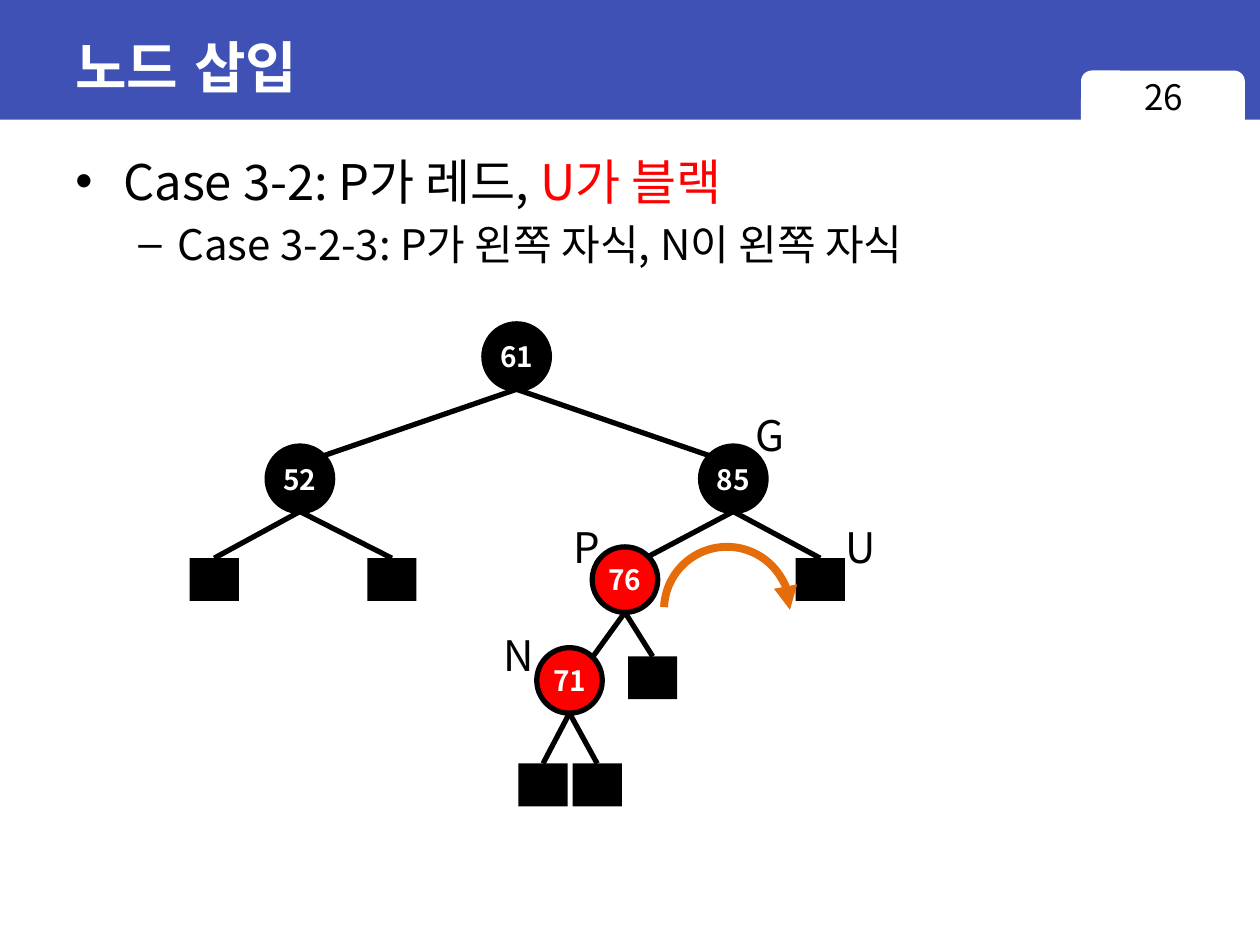
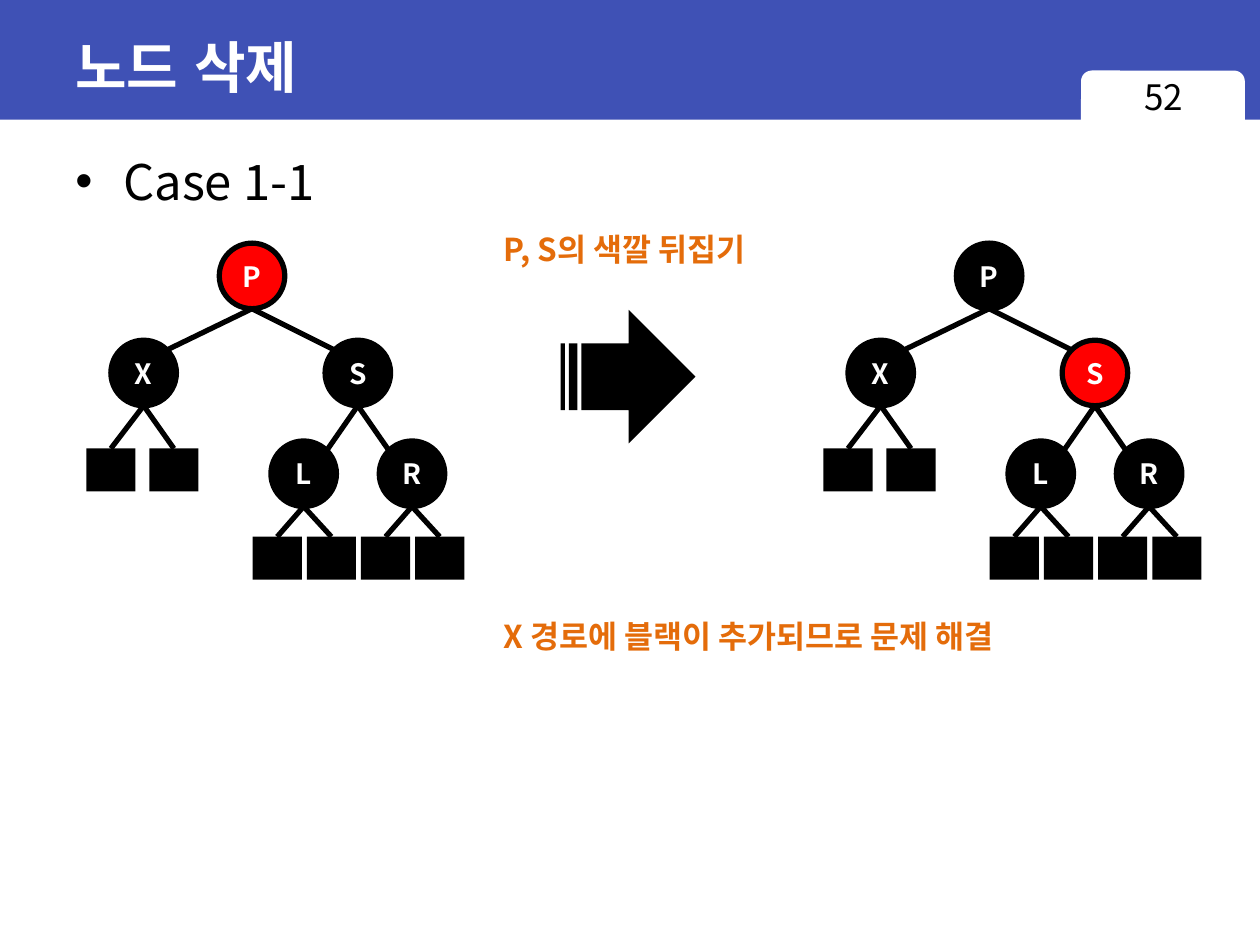
from dataclasses import dataclass

from lxml import etree
from pptx import Presentation
from pptx.dml.color import RGBColor
from pptx.enum.shapes import MSO_CONNECTOR, MSO_SHAPE
from pptx.enum.text import MSO_ANCHOR, MSO_AUTO_SIZE, PP_ALIGN
from pptx.oxml.ns import qn
from pptx.util import Inches, Pt

RECTANGLE, TAB, OVAL = MSO_SHAPE.RECTANGLE, MSO_SHAPE.ROUNDED_RECTANGLE, MSO_SHAPE.OVAL
ARC, STRIPED_ARROW = MSO_SHAPE.ARC, MSO_SHAPE.STRIPED_RIGHT_ARROW
STRAIGHT = MSO_CONNECTOR.STRAIGHT
TOP, MIDDLE = MSO_ANCHOR.TOP, MSO_ANCHOR.MIDDLE
FIT_TEXT = MSO_AUTO_SIZE.SHAPE_TO_FIT_TEXT
LEFT, CENTER = PP_ALIGN.LEFT, PP_ALIGN.CENTER

BLUE, WHITE, BLACK, RED, ORANGE = "3F51B5", "FFFFFF", "000000", "FF0000", "E46C0A"
TITLE_FONT, BODY_FONT = "Arial", "Noto Sans CJK KR"
NODE_SIZE = 0.52
LEAF_WIDTH, LEAF_HEIGHT = 0.39, 0.34
EDGE_INSET_X, EDGE_INSET_Y = 0.18, 0.08
BULLETS = [("•", 28, 0.38, 0.38), ("–", 24, 0.81, 0.31)]


@dataclass
class Node:
    """A tree node placed by its centre x and its top; a leaf has no label."""
    x: float
    top: float
    label: str = ""
    children: tuple = ()


def color(value):
    """Turn a hex string into a colour."""
    return RGBColor.from_string(value)


def style_paragraph(paragraph, size, fill=BLACK, bold=False, font=BODY_FONT, align=LEFT):
    """Set the font, for Latin and Korean letters, and the alignment of a paragraph."""
    paragraph.alignment = align
    paragraph.font.name = font
    paragraph.font.size = Pt(size)
    paragraph.font.bold = bold
    paragraph.font.color.rgb = color(fill)
    properties = paragraph._p.pPr.find(qn("a:defRPr"))
    etree.SubElement(properties, qn("a:ea"), typeface=font)


def add_box(slide, kind, left, top, width, height, fill=None, line=None, line_width=3):
    """Add a preset shape without shadow, with optional fill and line."""
    shape = slide.shapes.add_shape(kind, Inches(left), Inches(top), Inches(width), Inches(height))
    shape.shadow.inherit = False
    if fill:
        shape.fill.solid()
        shape.fill.fore_color.rgb = color(fill)
    else:
        shape.fill.background()
    if line:
        shape.line.color.rgb = color(line)
        shape.line.width = Pt(line_width)
    else:
        shape.line.fill.background()
    return shape


def add_text_frame(slide, left, top, width, height, anchor=TOP, wrap=True):
    """Add an empty text box and return its frame."""
    box = slide.shapes.add_textbox(Inches(left), Inches(top), Inches(width), Inches(height))
    frame = box.text_frame
    frame.word_wrap = wrap
    frame.vertical_anchor = anchor
    return frame


def add_label(slide, text, left, top, width, height=0.5, size=24, fill=BLACK, bold=False):
    """Add a one-line label that does not wrap."""
    frame = add_text_frame(slide, left, top, width, height, wrap=False)
    frame.auto_size = FIT_TEXT
    frame.text = text
    style_paragraph(frame.paragraphs[0], size, fill, bold)


def add_edge(slide, start, end):
    """Add a straight black tree edge."""
    edge = slide.shapes.add_connector(STRAIGHT, *map(Inches, start + end))
    edge.line.color.rgb = color(BLACK)
    edge.line.width = Pt(3)
    etree.SubElement(edge._element.spPr, qn("a:effectLst"))


def add_node(slide, node, x, fill):
    """Add a labelled circle, or a small black square for a leaf."""
    if not node.label:
        add_box(slide, RECTANGLE, x - LEAF_WIDTH / 2, node.top, LEAF_WIDTH, LEAF_HEIGHT, BLACK)
        return
    circle = add_box(slide, OVAL, x - NODE_SIZE / 2, node.top, NODE_SIZE, NODE_SIZE, fill, BLACK)
    frame = circle.text_frame
    frame.margin_left = frame.margin_right = 0
    frame.vertical_anchor = MIDDLE
    frame.word_wrap = True
    frame.text = node.label
    style_paragraph(frame.paragraphs[0], 16, WHITE, True, align=CENTER)


def add_tree(slide, node, red_labels, shift=0):
    """Add a node, its edges and its subtrees, moved right by a shift."""
    x = node.x + shift
    for child in node.children:
        child_x, child_y = child.x + shift, child.top
        if child.label:
            child_x += EDGE_INSET_X if child.x < node.x else -EDGE_INSET_X
            child_y += EDGE_INSET_Y
        add_edge(slide, (x, node.top + NODE_SIZE), (child_x, child_y))
        add_tree(slide, child, red_labels, shift)
    add_node(slide, node, x, RED if node.label in red_labels else BLACK)


def add_rotation_arrow(slide, left, top, size):
    """Add a half-circle arrow that turns clockwise."""
    arrow = add_box(slide, ARC, left, top, size, size, line=ORANGE, line_width=4.5)
    arrow.adjustments[0] = 109.46
    arrow.adjustments[1] = 0
    etree.SubElement(arrow.line._get_or_add_ln(), qn("a:tailEnd"), type="triangle")


def add_bullets(slide, items):
    """Add the body text from (level, runs) items, each run a (text, colour) pair."""
    frame = add_text_frame(slide, 0.5, 1.15, 9.38, 6.14)
    for index, (level, runs) in enumerate(items):
        paragraph = frame.add_paragraph() if index else frame.paragraphs[0]
        mark, size, margin, hanging = BULLETS[level]
        properties = paragraph._p.get_or_add_pPr()
        properties.set("marL", str(Inches(margin)))
        properties.set("indent", str(-Inches(hanging)))
        if index:
            paragraph.space_before = Pt(size * 0.2)
        etree.SubElement(properties, qn("a:buFont"), typeface="Arial")
        etree.SubElement(properties, qn("a:buChar"), char=mark)
        style_paragraph(paragraph, size)
        for text, fill in runs:
            run = paragraph.add_run()
            run.text = text
            run.font.color.rgb = color(fill)


def add_slide(presentation, title, number, items):
    """Add a slide with the title band, the number tab and the body text."""
    slide = presentation.slides.add_slide(presentation.slide_layouts[6])
    add_box(slide, RECTANGLE, 0, 0, 10, 0.95, BLUE)
    add_box(slide, TAB, 8.58, 0.56, 1.3, 0.51, WHITE)
    title_frame = add_text_frame(slide, 0.5, 0.11, 9, 0.83, MIDDLE)
    title_frame.text = title
    style_paragraph(title_frame.paragraphs[0], 32, WHITE, True, TITLE_FONT)
    add_bullets(slide, items)
    number_frame = add_text_frame(slide, 8.58, 0.55, 1.31, 0.52)
    number_frame.text = number
    style_paragraph(number_frame.paragraphs[0], 20, align=CENTER)
    return slide


def add_leaves(top, *centres):
    """Return leaves in one row."""
    return tuple(Node(x, top) for x in centres)


def build_insertion(presentation):
    """Build the slide on inserting a node."""
    slide = add_slide(presentation, "노드 삽입", "26", [
        (0, [("Case 3-2: P가 레드, ", BLACK), ("U가 블랙", RED)]),
        (1, [("Case 3-2-3: P가 왼쪽 자식, N이 왼쪽 자식", BLACK)]),
    ])
    inserted = Node(4.52, 5.14, "71", add_leaves(6.06, 4.31, 4.74))
    parent = Node(4.96, 4.34, "76", (inserted, Node(5.18, 5.21)))
    grandparent = Node(5.82, 3.54, "85", (parent, Node(6.51, 4.43)))
    sibling = Node(2.38, 3.54, "52", add_leaves(4.43, 1.7, 3.11))
    add_tree(slide, Node(4.1, 2.57, "61", (sibling, grandparent)), {"71", "76"})
    add_rotation_arrow(slide, 5.27, 4.34, 1)
    for text, left, top, width in [("N", 3.9, 4.95, 0.46), ("U", 6.61, 4.09, 0.44),
                                   ("P", 4.45, 4.09, 0.39), ("G", 5.9, 3.2, 0.44)]:
        add_label(slide, text, left, top, width)


def build_deletion(presentation):
    """Build the slide on deleting a node, with the tree before and after."""
    slide = add_slide(presentation, "노드 삭제", "52", [(0, [("Case 1-1", BLACK)])])
    left_child = Node(2.41, 3.5, "L", add_leaves(4.26, 2.2, 2.63))
    right_child = Node(3.27, 3.5, "R", add_leaves(4.26, 3.06, 3.49))
    sibling = Node(2.84, 2.7, "S", (left_child, right_child))
    replacement = Node(1.14, 2.7, "X", add_leaves(3.56, 0.88, 1.38))
    parent = Node(2, 1.93, "P", (replacement, sibling))
    add_tree(slide, parent, {"P"})
    add_tree(slide, parent, {"S"}, 5.85)
    add_box(slide, STRIPED_ARROW, 4.45, 2.46, 1.07, 1.06, BLACK)
    for text, top, width in [("P, S의 색깔 뒤집기", 1.78, 2.3),
                             ("X 경로에 블랙이 추가되므로 문제 해결", 4.85, 4.6)]:
        add_label(slide, text, 3.9, top, width, 0.4, 18, ORANGE, True)


def main():
    """Build and save the presentation."""
    presentation = Presentation()
    presentation.slide_width = Inches(10)
    presentation.slide_height = Inches(7.5)
    build_insertion(presentation)
    build_deletion(presentation)
    presentation.save("out.pptx")


if __name__ == "__main__":
    main()
